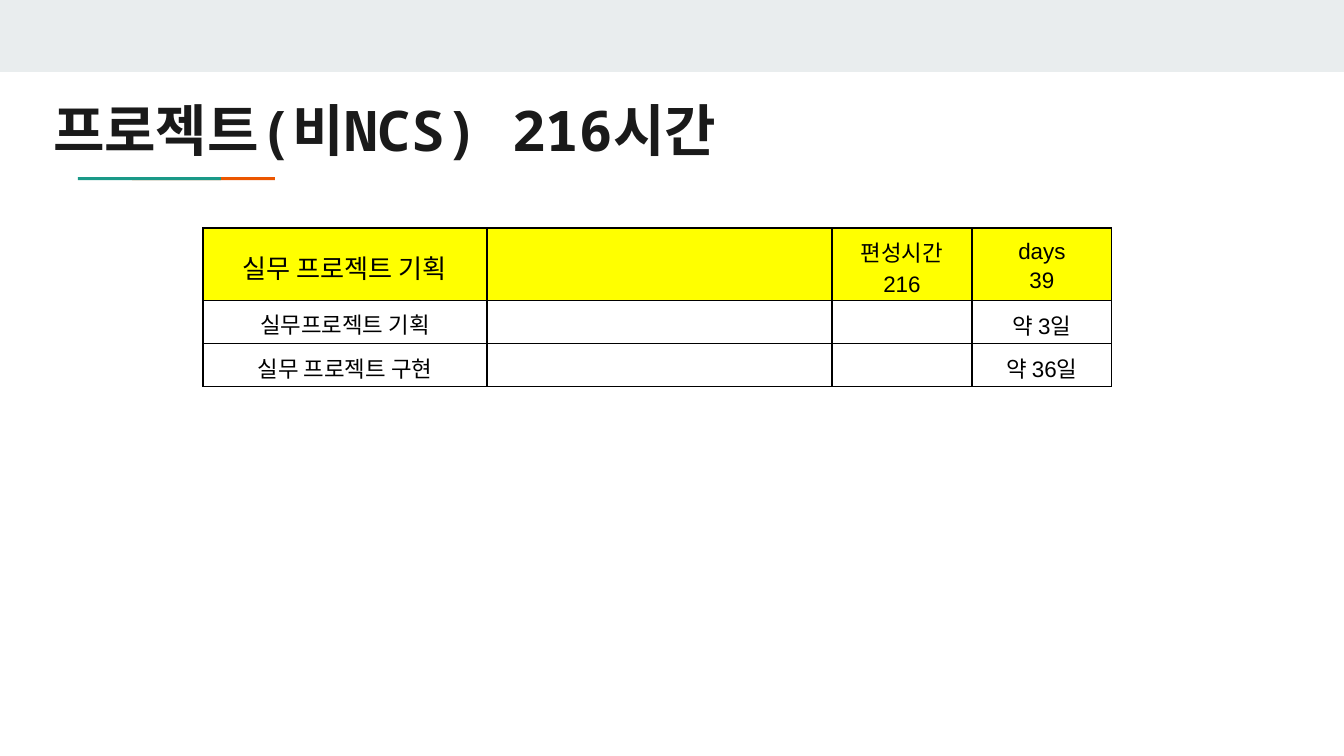
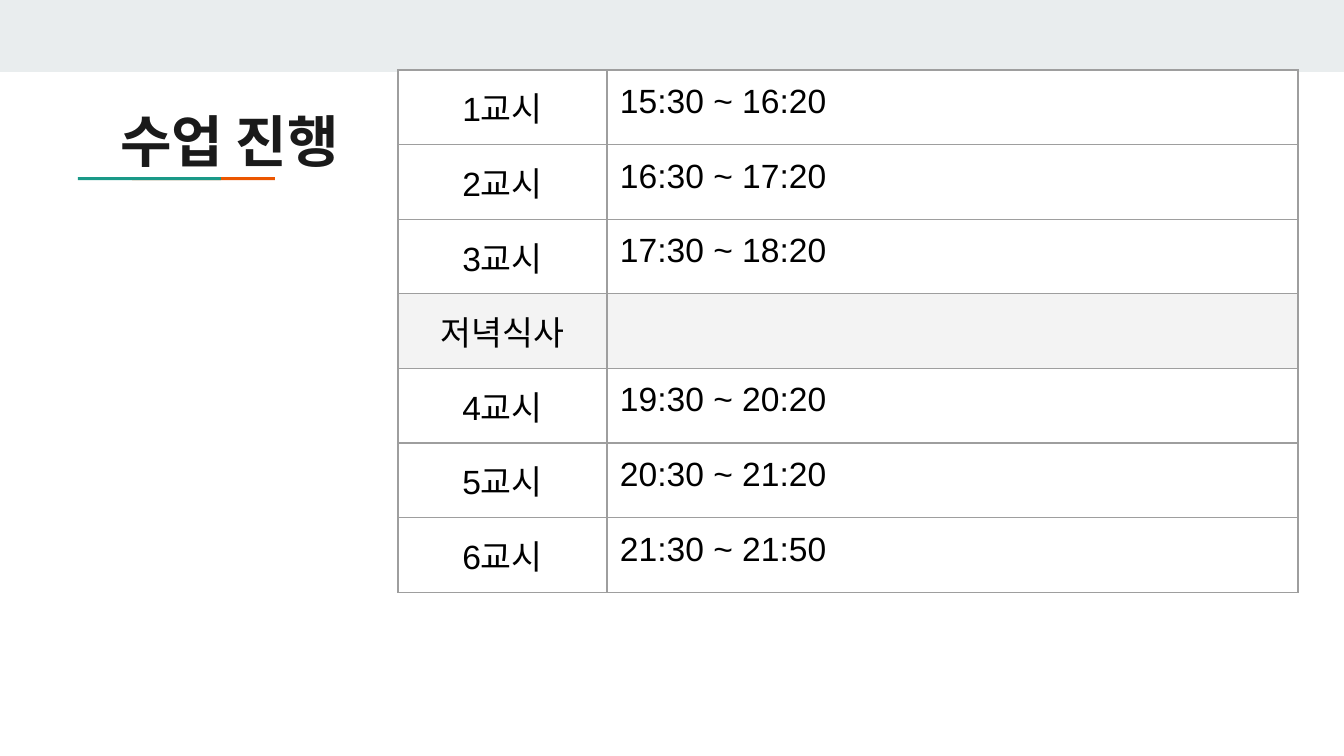
"""Build the project-hours slide and the class-timetable slide."""
from lxml.etree import SubElement
from pptx import Presentation
from pptx.dml.color import RGBColor
from pptx.enum.shapes import MSO_SHAPE as SHAPE
from pptx.enum.text import MSO_ANCHOR as ANCHOR, MSO_AUTO_SIZE as AUTO, PP_ALIGN as ALIGN
from pptx.oxml.ns import qn
from pptx.util import Emu, Pt

WHITE = RGBColor(0xFF, 0xFF, 0xFF)
BLACK = RGBColor(0x00, 0x00, 0x00)
INK = RGBColor(0x1A, 0x1A, 0x1A)
BAND = RGBColor(0xE9, 0xED, 0xEE)
ORANGE = RGBColor(0xEB, 0x56, 0x00)
TEAL = RGBColor(0x1A, 0x99, 0x88)
YELLOW = RGBColor(0xFF, 0xFF, 0x00)
PALE = RGBColor(0xF3, 0xF3, 0xF3)
GREY = RGBColor(0x9E, 0x9E, 0x9E)

WIDTH, HEIGHT = 1344, 756
DECOR = [
    ((0, 0, WIDTH, 72), 0, BAND),
    ((202, 107, 3, 143), 270, ORANGE),
    ((148, 107, 3, 143), 270, TEAL),
]

SLIDES = [
    dict(
        title="프로젝트(비NCS) 216시간",
        title_font="Noto Sans Mono",
        title_box=(40, 82, 767, 79),
        table=[
            ["실무 프로젝트 기획", "", "편성시간\n216", "days\n39"],
            ["실무프로젝트 기획", "", "", "약 3일"],
            ["실무 프로젝트 구현", "", "", "약 36일"],
        ],
        at=(203, 228),
        cols=[284, 345, 140, 140],
        rows=[63, 36, 36],
        size=12,
        sizes={(0, 0): 14},
        fills={0: YELLOW},
        border=BLACK,
        insets=(4, 3),
        spacing=1.15,
        centred=(0, 1, 2, 3),
        anchors={(0, 0): ANCHOR.MIDDLE, (0, 2): ANCHOR.MIDDLE, (0, 3): ANCHOR.MIDDLE,
                 (1, 3): ANCHOR.BOTTOM, (2, 3): ANCHOR.BOTTOM},
    ),
    dict(
        title="수업 진행",
        title_font="Manrope",
        title_box=(107, 93, 1130, 79),
        table=[
            ["1교시", "15:30 ~ 16:20"],
            ["2교시", "16:30 ~ 17:20"],
            ["3교시", "17:30 ~ 18:20"],
            ["저녁식사", ""],
            ["4교시", "19:30 ~ 20:20"],
            ["5교시", "20:30 ~ 21:20"],
            ["6교시", "21:30 ~ 21:50"],
        ],
        at=(398, 70),
        cols=[209, 691],
        rows=[70] * 7,
        size=18,
        sizes={},
        fills={3: PALE},
        border=GREY,
        insets=(13, 13),
        spacing=None,
        centred=(0,),
        anchors={},
    ),
]


def px(n):
    return Emu(round(n * 9144000 / WIDTH))


def set_font(r, name, size, color, bold=False):
    f = r.font
    f.name, f.size, f.bold = name, Pt(size), bold
    f.color.rgb = color


def set_insets(box, x, y):
    box.margin_left = box.margin_right = px(x)
    box.margin_top = box.margin_bottom = px(y)


def add_decor(s):
    for box, turn, color in DECOR:
        sp = s.shapes.add_shape(SHAPE.RECTANGLE, *map(px, box))
        sp.rotation = turn
        sp.shadow.inherit = False
        sp.fill.solid()
        sp.fill.fore_color.rgb = color
        sp.line.fill.background()


def add_title(s, d):
    sp = s.shapes.title
    sp.left, sp.top, sp.width, sp.height = map(px, d["title_box"])
    tf = sp.text_frame
    tf.word_wrap = True
    tf.auto_size = AUTO.NONE
    tf.vertical_anchor = ANCHOR.TOP
    set_insets(tf, 13, 13)
    p = tf.paragraphs[0]
    p.alignment = ALIGN.LEFT
    r = p.add_run()
    r.text = d["title"]
    set_font(r, d["title_font"], 30, INK, True)


def set_borders(cell, color):
    tc_pr = cell._tc.get_or_add_tcPr()
    for side in "LRTB":
        ln = SubElement(tc_pr, qn(f"a:ln{side}"), w=str(Pt(0.75)))
        fill = SubElement(ln, qn("a:solidFill"))
        SubElement(fill, qn("a:srgbClr"), val=str(color))


def fill_cell(cell, text, i, j, d):
    set_borders(cell, d["border"])
    cell.fill.solid()
    cell.fill.fore_color.rgb = d["fills"].get(i, WHITE)
    set_insets(cell, *d["insets"])
    cell.vertical_anchor = d["anchors"].get((i, j), ANCHOR.TOP)
    size = d["sizes"].get((i, j), d["size"])
    tf = cell.text_frame
    for n, line in enumerate(text.split("\n")):
        p = tf.add_paragraph() if n else tf.paragraphs[0]
        p.alignment = ALIGN.CENTER if j in d["centred"] else ALIGN.LEFT
        if d["spacing"]:
            p.line_spacing = d["spacing"]
        if line:
            r = p.add_run()
            r.text = line
            set_font(r, "Arial", size, BLACK)
        else:
            SubElement(p._p, qn("a:endParaRPr"), sz=str(size * 100))


def add_grid(s, d):
    cols, rows = d["cols"], d["rows"]
    box = (*d["at"], sum(cols), sum(rows))
    table = s.shapes.add_table(len(rows), len(cols), *map(px, box)).table
    table.first_row = table.horz_banding = False
    for col, w in zip(table.columns, cols):
        col.width = px(w)
    for row, h in zip(table.rows, rows):
        row.height = px(h)
    for i, texts in enumerate(d["table"]):
        for j, text in enumerate(texts):
            fill_cell(table.cell(i, j), text, i, j, d)


def main():
    prs = Presentation()
    prs.slide_width, prs.slide_height = px(WIDTH), px(HEIGHT)
    for d in SLIDES:
        s = prs.slides.add_slide(prs.slide_layouts[5])
        add_decor(s)
        add_title(s, d)
        add_grid(s, d)
    prs.save("out.pptx")


if __name__ == "__main__":
    main()
